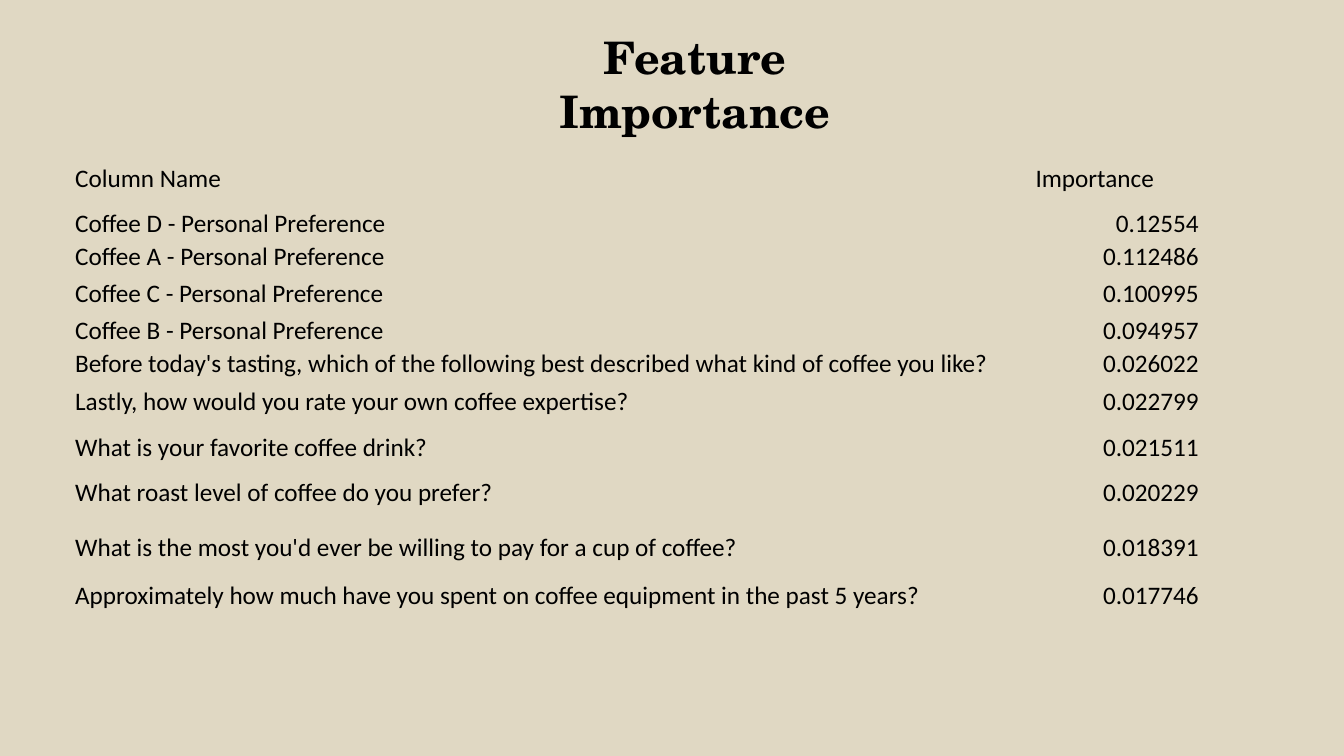
import pptx
import pptx.dml.color
import pptx.enum.text
import pptx.oxml.ns
import pptx.util

Pt = pptx.util.Pt
ALIGN = pptx.enum.text.PP_ALIGN
NO_GRID_STYLE = "{2D5ABB26-0587-4C30-8999-92F81FD0307C}"
COLUMN_WIDTHS = [686, 118, 50]
HEADER_HEIGHT = 35.3
FEATURES = [
    ("Coffee D - Personal Preference", "0.12554", 31.7),
    ("Coffee A - Personal Preference", "0.112486", 23.8),
    ("Coffee C - Personal Preference", "0.100995", 26.6),
    ("Coffee B - Personal Preference", "0.094957", 26.6),
    ("Before today's tasting, which of the following best described what kind of coffee you like?",
     "0.026022", 23),
    ("Lastly, how would you rate your own coffee expertise?", "0.022799", 27.4),
    ("What is your favorite coffee drink?", "0.021511", 33.1),
    ("What roast level of coffee do you prefer?", "0.020229", 31.7),
    ("What is the most you'd ever be willing to pay for a cup of coffee?", "0.018391", 39.6),
    ("Approximately how much have you spent on coffee equipment in the past 5 years?",
     "0.017746", 34.6),
]


def color(value):
    """Return the colour for a hex string."""
    return pptx.dml.color.RGBColor.from_string(value)


def write(frame, text, font, size, align, bold=False):
    """Put one formatted paragraph into a text frame."""
    para = frame.paragraphs[0]
    para.text = text
    para.alignment = align
    for span in para.runs:
        span.font.name = font
        span.font.size = Pt(size)
        span.font.bold = bold
        span.font.color.rgb = color("000000")


def add_title(page, left, top, width, height):
    """Place the slide title in the given box."""
    box = page.shapes.add_textbox(Pt(left), Pt(top), Pt(width), Pt(height))
    box.text_frame.word_wrap = True
    box.text_frame.auto_size = pptx.enum.text.MSO_AUTO_SIZE.SHAPE_TO_FIT_TEXT
    write(box.text_frame, "Feature Importance", "TeX Gyre Schola", 32, ALIGN.CENTER, True)


def add_importance_table(page, left, top):
    """Place the table of features and their importance."""
    heights = [HEADER_HEIGHT] + [height for _, _, height in FEATURES]
    frame = page.shapes.add_table(
        len(heights), len(COLUMN_WIDTHS), Pt(left), Pt(top),
        Pt(sum(COLUMN_WIDTHS)), Pt(sum(heights)))
    for style in frame.element.iter(pptx.oxml.ns.qn("a:tableStyleId")):
        style.text = NO_GRID_STYLE
    table = frame.table
    table.first_row = table.horz_banding = False
    for column, width in zip(table.columns, COLUMN_WIDTHS):
        column.width = Pt(width)
    for row, height in zip(table.rows, heights):
        row.height = Pt(height)
    for cell in table.iter_cells():
        cell.fill.background()
        cell.vertical_anchor = pptx.enum.text.MSO_ANCHOR.BOTTOM
        cell.margin_left = cell.margin_right = cell.margin_top = Pt(0.7)
        cell.margin_bottom = Pt(0)
    table.cell(0, 1).merge(table.cell(0, 2))
    write(table.cell(0, 0).text_frame, "Column Name", "Calibri", 18, ALIGN.LEFT)
    write(table.cell(0, 1).text_frame, "Importance", "Calibri", 18, ALIGN.LEFT)
    for index, (name, importance, _) in enumerate(FEATURES, 1):
        write(table.cell(index, 0).text_frame, name, "Calibri", 18, ALIGN.LEFT)
        write(table.cell(index, 1).text_frame, importance, "Calibri", 18, ALIGN.RIGHT)


def main():
    """Build the deck and save it."""
    deck = pptx.Presentation()
    deck.slide_width, deck.slide_height = Pt(960), Pt(540)
    page = deck.slides.add_slide(deck.slide_layouts[6])
    page.background.fill.solid()
    page.background.fill.fore_color.rgb = color("E0D8C3")
    add_importance_table(page, 53, 103.7)
    add_title(page, 338.4, 18, 316, 46)
    deck.save("out.pptx")


if __name__ == "__main__":
    main()
